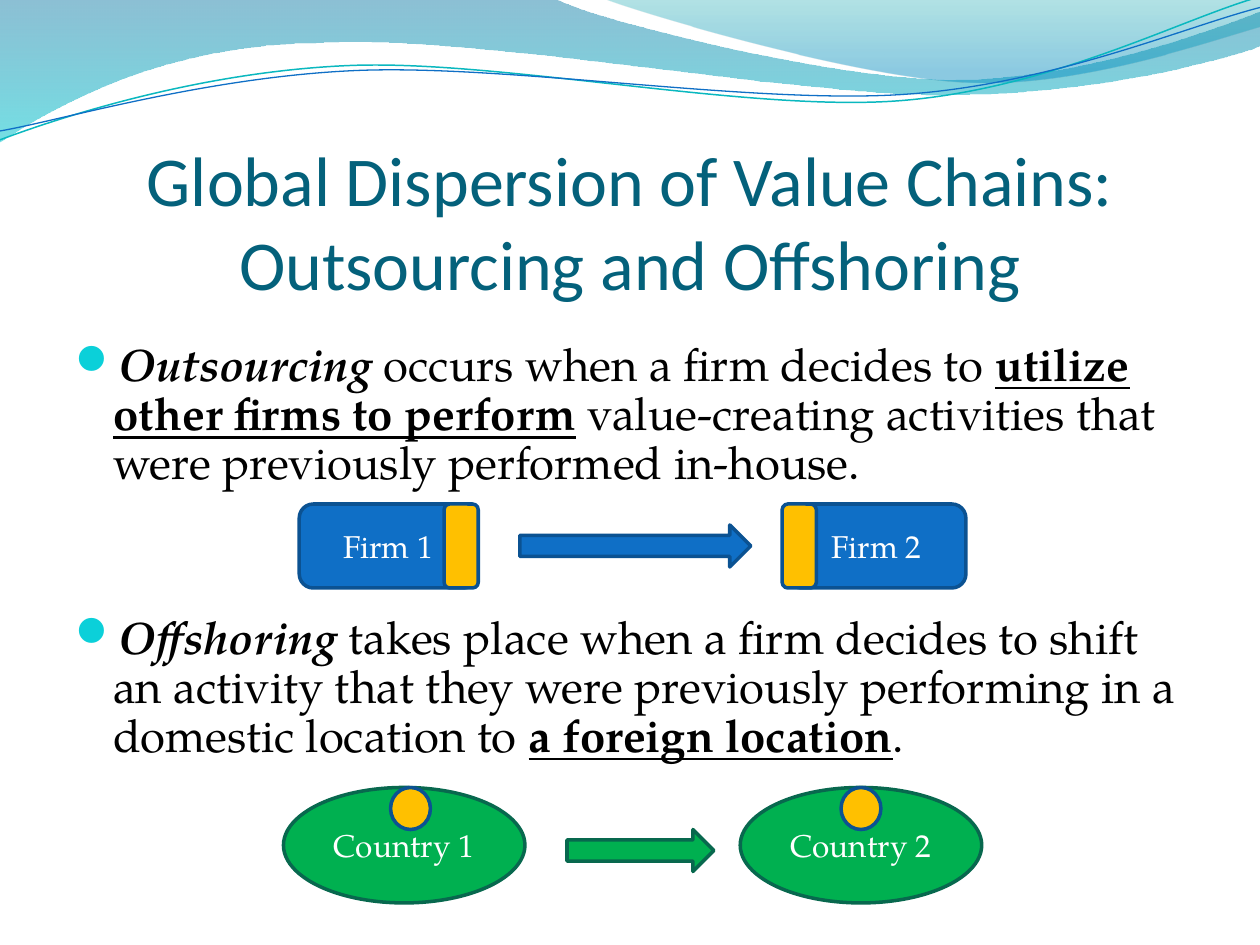
import math
from pptx import Presentation, util as u
from pptx.dml.color import RGBColor
from pptx.enum import shapes as es, text as et
from pptx.oxml.ns import qn
from lxml import etree

# Grid of 120 columns by 90 rows; waves are given in tenths of the width
CELL = u.Inches(10) // 120
TENTH = u.Inches(1)
HEAD, BODY = "Calibri", "TeX Gyre Pagella"
BLUE, NAVY, GOLD = "0F6FC6", "0B5292", "FFC000"
GREEN, PINE, WHITE = "00B050", "08684E", "FFFFFF"
KIND = es.MSO_SHAPE

deck = Presentation()
deck.slide_width, deck.slide_height = 120 * CELL, 90 * CELL
page = deck.slides.add_slide(deck.slide_layouts[6])


def tint(hue):
    return RGBColor.from_string(hue)


def cells(*vals):
    return [round(v * CELL) for v in vals]


def sub(node, tag, **att):
    return etree.SubElement(node, qn(tag), att)


def add_run(par, words, size, font, hue, style=""):
    run = par.add_run()
    run.text = words
    face = run.font
    face.size, face.name, face.color.rgb = u.Pt(size), font, tint(hue)
    face.bold, face.italic, face.underline = (k in style for k in "biu")


def text_box(col, row, cols, rows):
    frame = page.shapes.add_textbox(*cells(col, row, cols, rows)).text_frame
    frame.word_wrap = True
    return frame


def block(kind, col, row, cols, rows, fill, edge, label=""):
    shape = page.shapes.add_shape(kind, *cells(col, row, cols, rows))
    shape.shadow.inherit = False
    shape.fill.solid()
    shape.fill.fore_color.rgb = tint(fill)
    shape.line.color.rgb, shape.line.width = tint(edge), u.Pt(2)
    if label:
        frame = shape.text_frame
        frame.vertical_anchor = et.MSO_ANCHOR.MIDDLE
        par = frame.paragraphs[0]
        par.alignment = et.PP_ALIGN.CENTER
        add_run(par, label, 18, BODY, WHITE)


# Curved outlines: two numbers make a line, six make a Bezier curve
def pairs(step):
    return list(zip(step[::2], step[1::2]))


def outline(start, steps, close, move=lambda x, y: (x, y)):
    spots = [start] + [spot for step in steps for spot in pairs(step)]
    pts = [tuple(v * TENTH for v in move(*spot)) for spot in spots]
    pen = page.shapes.build_freeform(*pts[0])
    pen.add_line_segments(pts[1:], close=close)
    shape = pen.convert_to_shape()
    shape.shadow.inherit = False
    legs = iter(list(shape.element.spPr.iter(qn("a:lnTo"))))
    for step in steps:
        leg = next(legs)
        if len(step) == 6:
            leg.tag = qn("a:cubicBezTo")
            for _ in range(2):
                extra = next(legs)
                leg.append(extra[0])
                extra.getparent().remove(extra)
    return shape


def wave(start, steps, stops):
    shape = outline(start, steps, True)
    shape.line.fill.background()
    shape.fill.gradient()
    shape.fill.gradient_angle = 270
    for stop, (pos, hue, _) in zip(shape.fill.gradient_stops, stops):
        stop.position, stop.color.rgb = pos, tint(hue)
    marks = shape.element.spPr.iter(qn("a:srgbClr"))
    for mark, (_, _, share) in zip(list(marks), stops):
        sub(mark, "a:alpha", val=str(share * 1000))


def strand(mid, start, steps, hue, width, turn=-2.7):
    # Turn the points level, then tilt the shape
    sin, cos = math.sin(math.radians(-turn)), math.cos(math.radians(turn))

    def level(x, y):
        dx, dy = x - mid[0], y - mid[1]
        return mid[0] + dx * cos - dy * sin, mid[1] + dx * sin + dy * cos

    shape = outline(start, steps, False, level)
    shape.fill.background()
    shape.line.color.rgb, shape.line.width = tint(hue), u.Pt(width)
    shape.rotation = turn


def banner():
    wave((0, -.01), [(4.4, -.01), (4.76, .17, 6.64, .63, 7.58, .63),
                     (8.53, .63, 9.58, .26, 10, .09), (10.01, .36),
                     (9.83, .44, 8.7, .76, 7.46, .75),
                     (6.22, .75, 3.82, .28, 2.57, .34),
                     (1.29, .35, .46, .83, -.01, 1.13), (0, -.01)],
         [(0, "0074A1", 45), (1, "00C6CF", 55)])
    wave((4.79, -.01), [(5.09, .11, 6.82, .62, 7.69, .65),
                        (8.56, .69, 9.61, .32, 10, .21), (10, 0), (4.79, -.01)],
         [(0, "00A1A9", 30), (.8, "008BBF", 45)])
    strand((4.99, .57), (0, 1.11), [(.48, .93, 1.58, .57, 2.77, .52),
                                    (3.95, .47, 5.93, .89, 7.13, .8),
                                    (8.33, .71, 9.38, .15, 9.98, -.02)], "0AB8BF", .85)
    strand((5, .59), (0, 1.04), [(.47, .96, 1.64, .61, 2.83, .56),
                                 (4.03, .51, 5.97, .83, 7.17, .75),
                                 (8.36, .67, 9.41, .21, 10, .06)], BLUE, .75)


def title(box, words):
    frame = text_box(*box)
    frame.margin_left = frame.margin_right = frame.margin_bottom = 0
    frame.vertical_anchor = et.MSO_ANCHOR.BOTTOM
    par = frame.paragraphs[0]
    par.alignment = et.PP_ALIGN.CENTER
    add_run(par, words, 40, HEAD, "04617B")


def points(box, items):
    frame = text_box(*box)
    for n, (gap, runs) in enumerate(items):
        par = frame.add_paragraph() if n else frame.paragraphs[0]
        par.line_spacing, par.space_before = .9, u.Pt(gap)
        for words, style in runs:
            add_run(par, words, 26, BODY, "000000", style)
        props = par._p.get_or_add_pPr()
        props.set("marL", str(u.Inches(.3)))
        props.set("indent", str(-u.Inches(.3)))
        sub(sub(props, "a:buClr"), "a:srgbClr", val="0BD0D9")
        sub(props, "a:buSzPct", val="95000")
        # Round bullet of the symbol font
        sub(props, "a:buFont", typeface="Wingdings 2", charset="2")
        sub(props, "a:buChar", char="\uf097")


# Two firms, with the moved activity on their facing sides
def firms(col, row):
    for n, (left, part) in enumerate([(0, 13.8), (46.5, 46)], 1):
        block(KIND.ROUNDED_RECTANGLE, col + left, row, 17, 8, BLUE, NAVY, f"Firm {n}")
        block(KIND.ROUNDED_RECTANGLE, col + part, row, 3.25, 8, GOLD, NAVY)
    block(KIND.RIGHT_ARROW, col + 21, row + 2, 22, 4, BLUE, NAVY)


# Two countries, with the moved activity at the top
def lands(col, row):
    for n, left in enumerate([0, 43.5], 1):
        block(KIND.OVAL, col + left, row, 23, 11, GREEN, PINE, f"Country {n}")
    for left in (10.2, 53.1):
        block(KIND.OVAL, col + left, row, 3.8, 4, GOLD, NAVY)
    block(KIND.RIGHT_ARROW, col + 27, row + 4, 14, 4, GREEN, PINE)


banner()
title((9, 14, 102, 15), "Global Dispersion of Value Chains: Outsourcing and Offshoring")
points((6, 32, 109, 56), [
    (5.2, [("Outsourcing", "bi"), (" occurs when a firm decides to ", ""),
           ("utilize other firms to perform", "bu"),
           (" value-creating activities that were previously performed in-house.", "")]),
    (71.6, [("Offshoring", "bi"),
            (" takes place when a firm decides to shift an activity that they were "
             "previously performing in a domestic location to ", ""),
            ("a foreign location", "bu"), (".", "")])])
firms(28.5, 48)
lands(27, 75)
deck.save("out.pptx")
